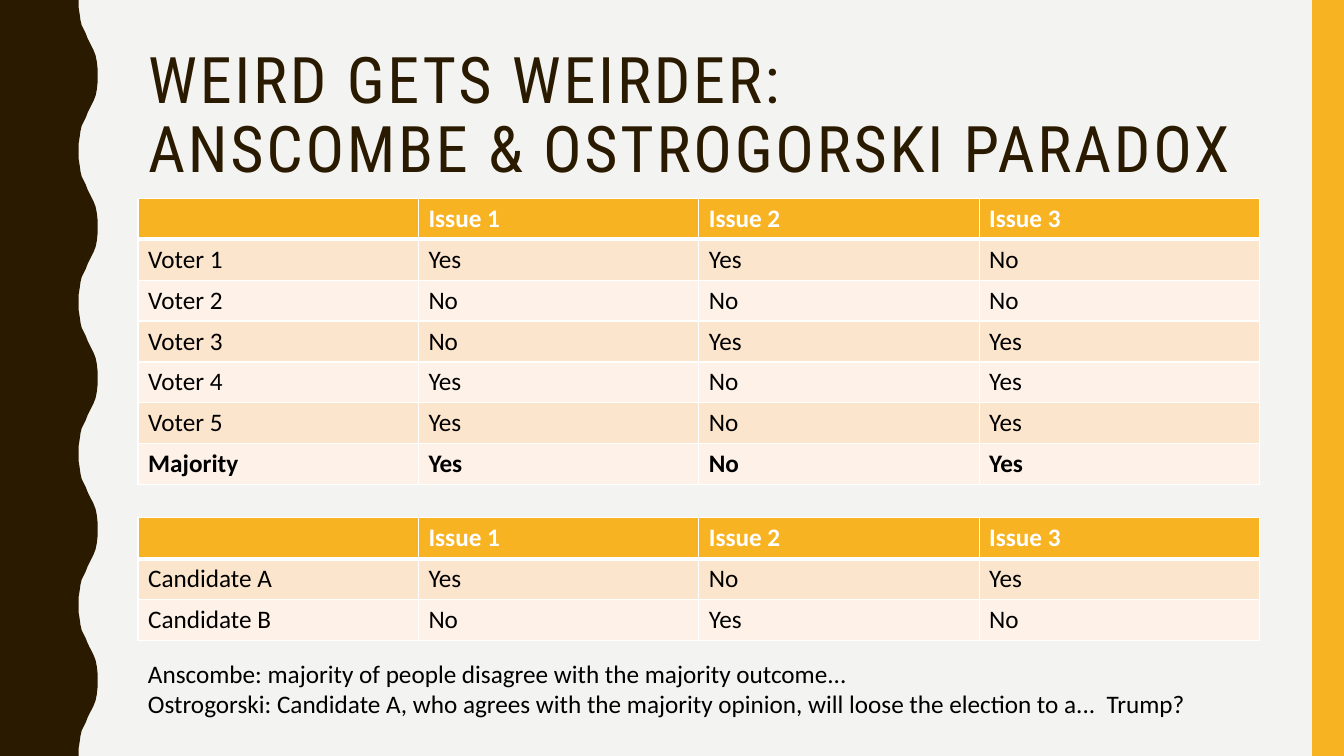
from dataclasses import dataclass

from lxml.etree import SubElement
from pptx import Presentation
from pptx.dml.color import RGBColor as Rgb
from pptx.enum.shapes import MSO_SHAPE as Shape
from pptx.enum.text import MSO_ANCHOR as Anchor, MSO_AUTO_SIZE as AutoSize, PP_ALIGN as Align
from pptx.oxml.ns import qn
from pptx.util import Cm, Pt


@dataclass(frozen=True)
class Theme:
    background: str = "F3F3F2"
    dark: str = "2A1A00"
    accent: str = "F8B323"
    bands: tuple = ("FCE5CD", "FEF2E8")
    white: str = "FFFFFF"
    black: str = "000000"
    title_font: str = "Roboto Condensed"
    body_font: str = "Calibri"
    title_size: float = 45.9
    body_size: float = 18


# Shared layout, in centimetres
SLIDE_WIDTH, SLIDE_HEIGHT = 33.87, 19.05
LEFT, WIDTH = 3.48, 28.26
ROW_HEIGHT = 1.03

# Wave edge from trough to crest: x and y of each point
WAVE_PERIOD = 3.81
WAVE_RISE = [(1.98, 0), (1.98, 0.18), (2.01, 0.36), (2.03, 0.51), (2.06, 0.64),
             (2.11, 0.74), (2.16, 0.84), (2.21, 0.97), (2.26, 1.07), (2.31, 1.17),
             (2.36, 1.27), (2.41, 1.4), (2.44, 1.55), (2.46, 1.73), (2.46, 1.9)]

ISSUES = ["", "Issue 1", "Issue 2", "Issue 3"]
VOTES = [
    ISSUES,
    ["Voter 1", "Yes", "Yes", "No"],
    ["Voter 2", "No", "No", "No"],
    ["Voter 3", "No", "Yes", "Yes"],
    ["Voter 4", "Yes", "No", "Yes"],
    ["Voter 5", "Yes", "No", "Yes"],
    ["Majority", "Yes", "No", "Yes"],
]
CANDIDATES = [
    ISSUES,
    ["Candidate A", "Yes", "No", "Yes"],
    ["Candidate B", "No", "Yes", "No"],
]
CONCLUSIONS = [
    "Anscombe: majority of people disagree with the majority outcome...",
    "Ostrogorski: Candidate A, who agrees with the majority opinion, "
    "will loose the election to a...  Trump?",
]


def apply(target, values):
    for name, value in values.items():
        setattr(target, name, value)


class SlideBuilder:
    def __init__(self, slide, theme):
        self.slide = slide
        self.theme = theme
        background = slide.background.fill
        background.solid()
        background.fore_color.rgb = Rgb.from_string(theme.background)

    def style_font(self, font, color, size=None, name=None, bold=False):
        apply(font, {"name": name or self.theme.body_font,
                     "size": Pt(size or self.theme.body_size), "bold": bold})
        font.color.rgb = Rgb.from_string(color)

    def paint(self, shape, color):
        shape.shadow.inherit = False
        shape.fill.solid()
        shape.fill.fore_color.rgb = Rgb.from_string(color)
        shape.line.fill.background()

    def wave(self):
        fall = [(x, WAVE_PERIOD - y) for x, y in reversed(WAVE_RISE[1:-1])]
        periods = round(SLIDE_HEIGHT / WAVE_PERIOD)
        edge = [(x, y + period * WAVE_PERIOD)
                for period in range(periods) for x, y in WAVE_RISE + fall]
        edge += [(WAVE_RISE[0][0], SLIDE_HEIGHT), (0, SLIDE_HEIGHT)]
        outline = self.slide.shapes.build_freeform(0, 0)
        outline.add_line_segments([(Cm(x), Cm(y)) for x, y in edge], close=True)
        self.paint(outline.convert_to_shape(), self.theme.dark)

    def side_bar(self, left, width):
        bar = self.slide.shapes.add_shape(
            Shape.RECTANGLE, Cm(left), 0, Cm(width), Cm(SLIDE_HEIGHT))
        self.paint(bar, self.theme.accent)

    def title(self, text, top, height):
        heading = self.slide.shapes.title
        apply(heading, {"left": Cm(LEFT), "top": Cm(top),
                        "width": Cm(WIDTH), "height": Cm(height)})
        apply(heading.text_frame, {"text": text, "word_wrap": True,
                                   "auto_size": AutoSize.NONE,
                                   "vertical_anchor": Anchor.TOP})
        line = heading.text_frame.paragraphs[0]
        apply(line, {"alignment": Align.LEFT, "line_spacing": 0.9})
        for run in line.runs:
            self.style_font(run.font, self.theme.dark,
                            self.theme.title_size, self.theme.title_font)
            run.font._element.set("spc", "200")

    def border(self, cell, widths):
        properties = cell._tc.get_or_add_tcPr()
        for side, width in widths.items():
            line = SubElement(properties, qn(f"a:ln{side}"), w=str(Pt(width)))
            fill = SubElement(line, qn("a:solidFill"))
            SubElement(fill, qn("a:srgbClr"), val=self.theme.white)

    def table(self, rows, top):
        columns = len(rows[0])
        grid = self.slide.shapes.add_table(
            len(rows), columns, Cm(LEFT), Cm(top),
            Cm(WIDTH), Cm(ROW_HEIGHT * len(rows))).table
        for column in grid.columns:
            column.width = Cm(WIDTH / columns)
        for index, values in enumerate(rows):
            grid.rows[index].height = Cm(ROW_HEIGHT)
            header = index == 0
            fill = self.theme.accent if header else self.theme.bands[(index - 1) % 2]
            color = self.theme.white if header else self.theme.black
            widths = {"L": 1, "R": 1, "T": 3 if index == 1 else 1, "B": 3 if header else 1}
            for cell, value in zip(grid.rows[index].cells, values):
                cell.text = value
                self.style_font(cell.text_frame.paragraphs[0].font, color,
                                bold=header or values[0] == "Majority")
                self.border(cell, widths)
                cell.fill.solid()
                cell.fill.fore_color.rgb = Rgb.from_string(fill)

    def text(self, lines, top, height):
        frame = self.slide.shapes.add_textbox(
            Cm(LEFT), Cm(top), Cm(WIDTH), Cm(height)).text_frame
        apply(frame, {"text": "\n".join(lines), "word_wrap": True,
                      "auto_size": AutoSize.SHAPE_TO_FIT_TEXT})
        for line in frame.paragraphs:
            self.style_font(line.font, self.theme.black)


def main():
    deck = Presentation()
    apply(deck, {"slide_width": Cm(SLIDE_WIDTH), "slide_height": Cm(SLIDE_HEIGHT)})
    title_only = deck.slide_layouts[5]
    paradox = SlideBuilder(deck.slides.add_slide(title_only), Theme())

    # Side decoration
    paradox.wave()
    paradox.side_bar(33.07, 0.8)

    # Heading
    paradox.title("WEIRD GETS WEIRDER: \vANSCOMBE & OSTROGORSKI PARADOX", 1.07, 4.14)

    # Votes and candidate positions
    paradox.table(VOTES, 5)
    paradox.table(CANDIDATES, 13.05)

    # Conclusions
    paradox.text(CONCLUSIONS, 16.46, 1.8)

    deck.save("out.pptx")


if __name__ == "__main__":
    main()
